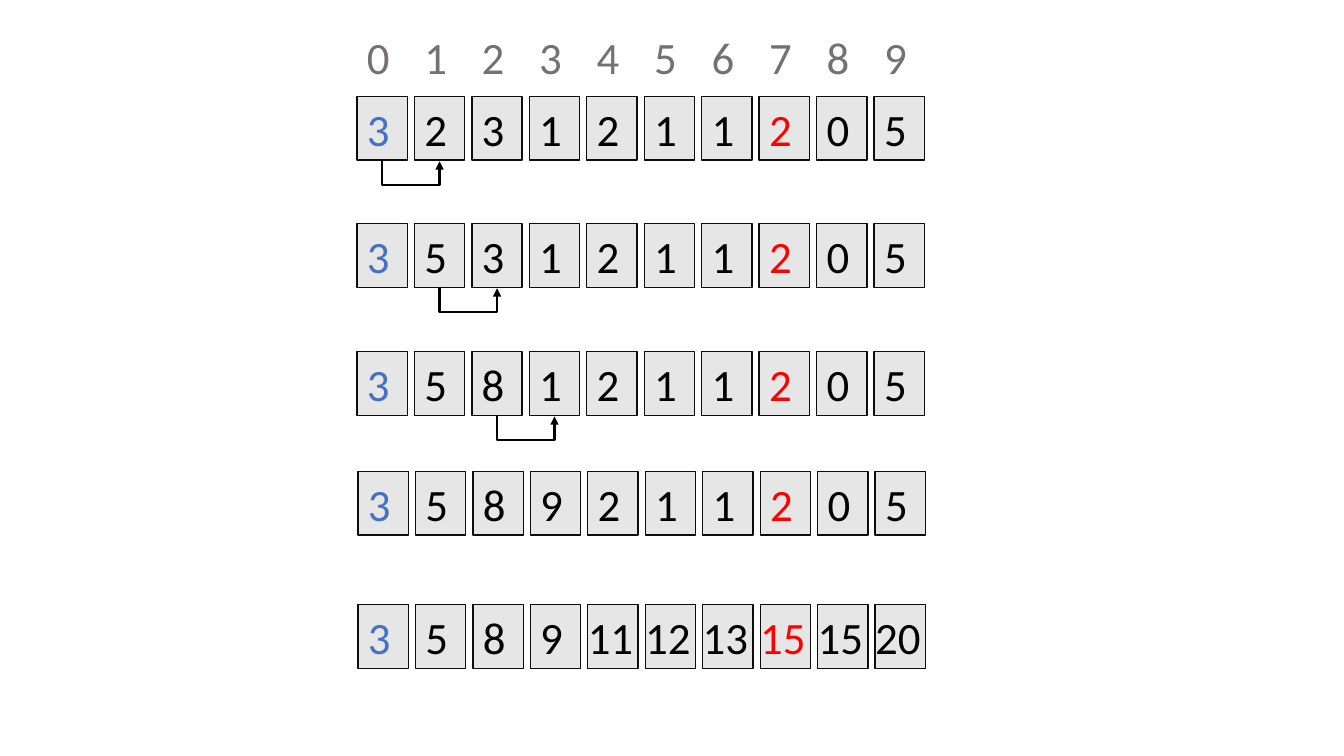
from lxml import etree
from pptx import Presentation
from pptx.dml.color import RGBColor
from pptx.enum.shapes import MSO_CONNECTOR, MSO_SHAPE
from pptx.enum.text import MSO_ANCHOR, PP_ALIGN
from pptx.oxml.ns import qn
from pptx.util import Inches, Pt

RECTANGLE, ELBOW = MSO_SHAPE.RECTANGLE, MSO_CONNECTOR.ELBOW
TOP, LEFT = MSO_ANCHOR.TOP, PP_ALIGN.LEFT

COLORS = {"cell": "E7E6E6", "border": "0D0D0D", "digit": "000000",
          "first": "4472C4", "target": "FF0000", "index": "767171"}
FIRST, TARGET = 0, 7
COLUMN, CELL_WIDTH, CELL_HEIGHT = 0.57, 0.5, 0.63
INSET, DROP, RISE = 0.1, 0.25, 0.01
INDEX_ORIGIN = (3.54, 0.25)

# Origin of each array, its values, and the column its arrow starts from
STEPS = [
    ((3.54, 0.96), [3, 2, 3, 1, 2, 1, 1, 2, 0, 5], 0),
    ((3.54, 2.22), [3, 5, 3, 1, 2, 1, 1, 2, 0, 5], 1),
    ((3.54, 3.49), [3, 5, 8, 1, 2, 1, 1, 2, 0, 5], 2),
    ((3.55, 4.68), [3, 5, 8, 9, 2, 1, 1, 2, 0, 5], None),
    ((3.55, 6.0), [3, 5, 8, 9, 11, 12, 13, 15, 15, 20], None),
]


def rgb(name):
    """Return the named palette colour."""
    return RGBColor.from_string(COLORS[name])


def write_number(holder, number, color):
    """Write a number from the top left; two digits use the full cell width."""
    frame = holder.text_frame
    frame.word_wrap = True
    frame.vertical_anchor = TOP
    frame.margin_left = Inches(INSET if number < 10 else 0)
    frame.margin_top = Inches(INSET / 2)
    frame.margin_right = frame.margin_bottom = 0
    paragraph = frame.paragraphs[0]
    paragraph.text = str(number)
    paragraph.alignment = LEFT
    paragraph.font.name = "Calibri"
    paragraph.font.size = Pt(32)
    paragraph.font.color.rgb = rgb(color)


def cell_box(origin, column):
    """Return the box of one column in a row starting at origin."""
    left, top = origin
    return [Inches(n) for n in
            (left + column * COLUMN, top, CELL_WIDTH, CELL_HEIGHT)]


def add_indices(slide, origin, count):
    """Add the row of array indices."""
    for column in range(count):
        index = slide.shapes.add_textbox(*cell_box(origin, column))
        write_number(index, column, "index")


def add_array(slide, origin, values):
    """Add a row of bordered cells, colouring the first and target values."""
    for column, value in enumerate(values):
        cell = slide.shapes.add_shape(RECTANGLE, *cell_box(origin, column))
        cell.shadow.inherit = False
        cell.fill.solid()
        cell.fill.fore_color.rgb = rgb("cell")
        cell.line.color.rgb = rgb("border")
        cell.line.width = Pt(1)
        color = {FIRST: "first", TARGET: "target"}.get(column, "digit")
        write_number(cell, value, color)


def add_carry_arrow(slide, origin, column):
    """Add a U-shaped arrow below a row, from one column to the next."""
    left, top = origin
    center_x = left + CELL_WIDTH / 2 + (column + 0.5) * COLUMN
    center_y = top + CELL_HEIGHT + RISE / 2
    # A quarter turn lays the elbow on its side, so its ends point upwards
    arrow = slide.shapes.add_connector(
        ELBOW,
        Inches(center_x + RISE / 2), Inches(center_y - COLUMN / 2),
        Inches(center_x - RISE / 2), Inches(center_y + COLUMN / 2))
    arrow.line.color.rgb = rgb("digit")
    arrow.line.width = Pt(1.5)
    properties = arrow.element.spPr
    properties.find(qn("a:xfrm")).set("rot", str(270 * 60000))
    bend = etree.SubElement(properties.find(".//" + qn("a:avLst")), qn("a:gd"))
    bend.set("name", "adj1")
    bend.set("fmla", f"val {round(DROP / RISE * 100000)}")
    head = etree.SubElement(properties.find(qn("a:ln")), qn("a:tailEnd"))
    head.set("type", "triangle")
    etree.SubElement(properties, qn("a:effectLst"))


def build_prefix_sum(slide):
    """Build the steps that turn the array into running totals."""
    add_indices(slide, INDEX_ORIGIN, len(STEPS[0][1]))
    for origin, values, carry in STEPS:
        add_array(slide, origin, values)
        if carry is not None:
            add_carry_arrow(slide, origin, carry)


presentation = Presentation()
presentation.slide_width = Inches(13.33)
presentation.slide_height = Inches(7.5)
build_prefix_sum(presentation.slides.add_slide(presentation.slide_layouts[6]))
presentation.save("out.pptx")
